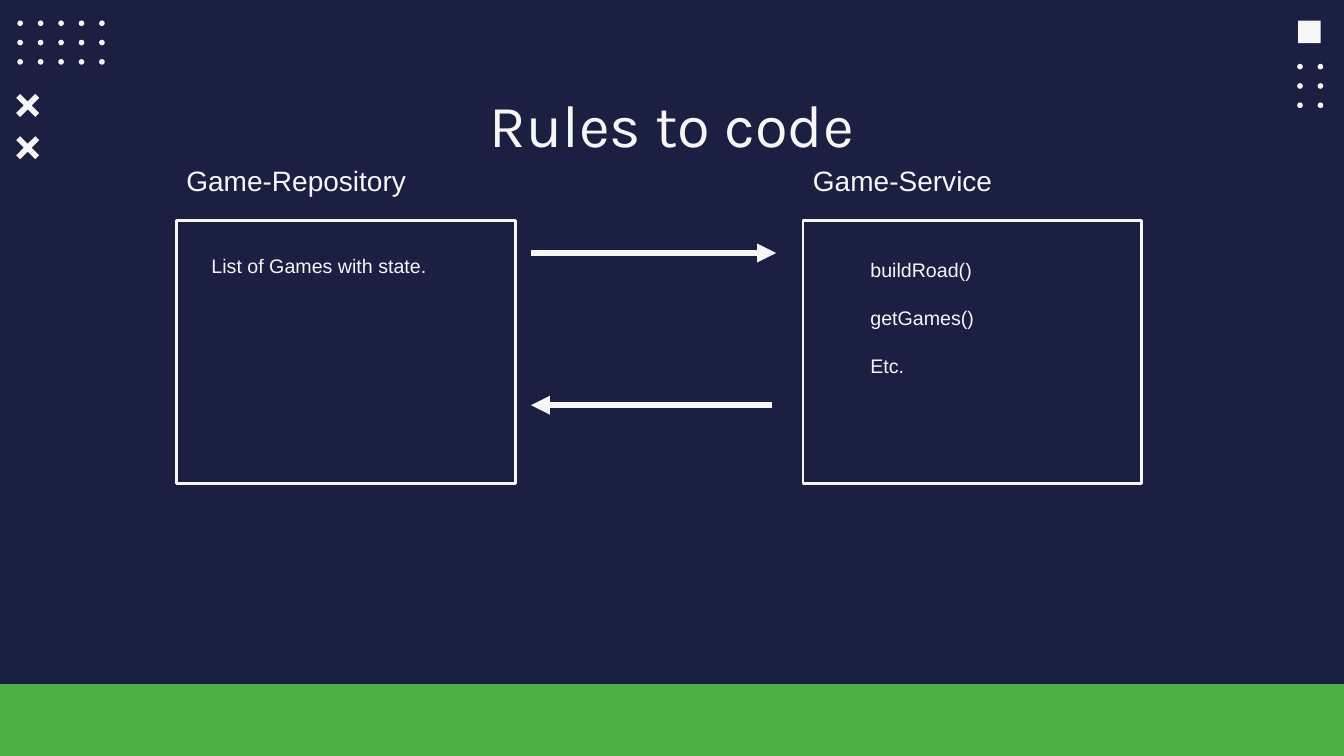
from lxml import etree
from pptx import Presentation
from pptx.dml.color import RGBColor
from pptx.enum.shapes import MSO_CONNECTOR, MSO_SHAPE
from pptx.enum.text import MSO_ANCHOR, PP_ALIGN
from pptx.oxml.ns import qn
from pptx.util import Pt

RECT, OVAL = MSO_SHAPE.RECTANGLE, MSO_SHAPE.OVAL
LINE = MSO_CONNECTOR.STRAIGHT
TOP, CENTER = MSO_ANCHOR.TOP, PP_ALIGN.CENTER
COLORS = {"navy": "1B1F42", "white": "F6F6F6", "green": "4CAE43"}
RGB = {name: RGBColor.from_string(code) for name, code in COLORS.items()}

deck = Presentation()
deck.slide_width, deck.slide_height = Pt(960), Pt(540)
slide = deck.slides.add_slide(deck.slide_layouts[5])
slide.background.fill.solid()
slide.background.fill.fore_color.rgb = RGB["navy"]
shapes = slide.shapes


def paint(shape, color):
    """Give the shape a flat fill without line or shadow."""
    shape.shadow.inherit = False
    shape.fill.solid()
    shape.fill.fore_color.rgb = RGB[color]
    shape.line.fill.background()


def write(left, top, width, height, lines, size, gap=0, wrap=True):
    """Add a white text box with one paragraph per line."""
    frame = shapes.add_textbox(Pt(left), Pt(top), Pt(width), Pt(height)).text_frame
    frame.word_wrap = wrap
    frame.text = "\n".join(lines)
    for i, para in enumerate(frame.paragraphs):
        para.font.name, para.font.size = "Arial", Pt(size)
        para.font.color.rgb = RGB["white"]
        para.space_before = Pt(gap if i else 0)


# Corner decoration and bottom band
paint(shapes.add_shape(RECT, Pt(927.2), Pt(14.8), Pt(16.2), Pt(16)), "white")
paint(shapes.add_shape(RECT, Pt(0), Pt(488.7), Pt(960), Pt(51.3)), "green")

cross = [(-5.4, -8.2), (0, -2.8), (5.4, -8.2), (8.2, -5.4), (2.8, 0), (8.2, 5.4),
         (5.4, 8.2), (0, 2.8), (-5.4, 8.2), (-8.2, 5.4), (-2.8, 0), (-8.2, -5.4)]
for mid in (75.3, 105.5):
    points = [(Pt(19.8 + x), Pt(mid + y)) for x, y in cross]
    build = shapes.build_freeform(*points[0])
    build.add_line_segments(points[1:], close=True)
    paint(build.convert_to_shape(), "white")

for left, top, cols in ((12.4, 14.6, 5), (926.6, 45.6, 2)):
    for row in range(3):
        for col in range(cols):
            dot = shapes.add_shape(OVAL, Pt(left + 14.6 * col),
                                   Pt(top + 13.8 * row), Pt(4), Pt(4))
            paint(dot, "white")

# Title
title = shapes.title
title.left, title.top, title.width, title.height = Pt(75), Pt(53.3), Pt(810), Pt(60.5)
frame = title.text_frame
frame.text = "Rules to code"
frame.vertical_anchor = TOP
frame.margin_left = frame.margin_right = Pt(9.4)
frame.margin_top = frame.margin_bottom = Pt(9.4)
head = frame.paragraphs[0]
head.alignment = CENTER
head.font.name, head.font.size = "Karla", Pt(42.6)
head.font.color.rgb = RGB["white"]

# Components
for left, width, label in ((126, 173, "Game-Repository"), (573.6, 143, "Game-Service")):
    box = shapes.add_shape(RECT, Pt(left), Pt(157.5), Pt(242), Pt(188))
    box.shadow.inherit = False
    box.fill.background()
    box.line.color.rgb = RGB["white"]
    box.line.width = Pt(2)
    write(left, 113.2, width, 31.5, [label], 20, wrap=False)

# Arrows between the components
for start, end, y in ((379.3, 554.4, 180.7), (551.4, 379.3, 289.4)):
    arrow = shapes.add_connector(LINE, Pt(start), Pt(y), Pt(end), Pt(y))
    arrow.line.color.rgb = RGB["white"]
    arrow.line.width = Pt(4.5)
    etree.SubElement(arrow.line._get_or_add_ln(), qn("a:tailEnd"), type="triangle")
    etree.SubElement(arrow._element.spPr, qn("a:effectLst"))

write(614.6, 181, 142, 92, ["buildRoad()", "getGames()", "Etc."], 14, gap=17.4)
write(144, 178, 188, 24.3, ["List of Games with state."], 14)

deck.save("out.pptx")
